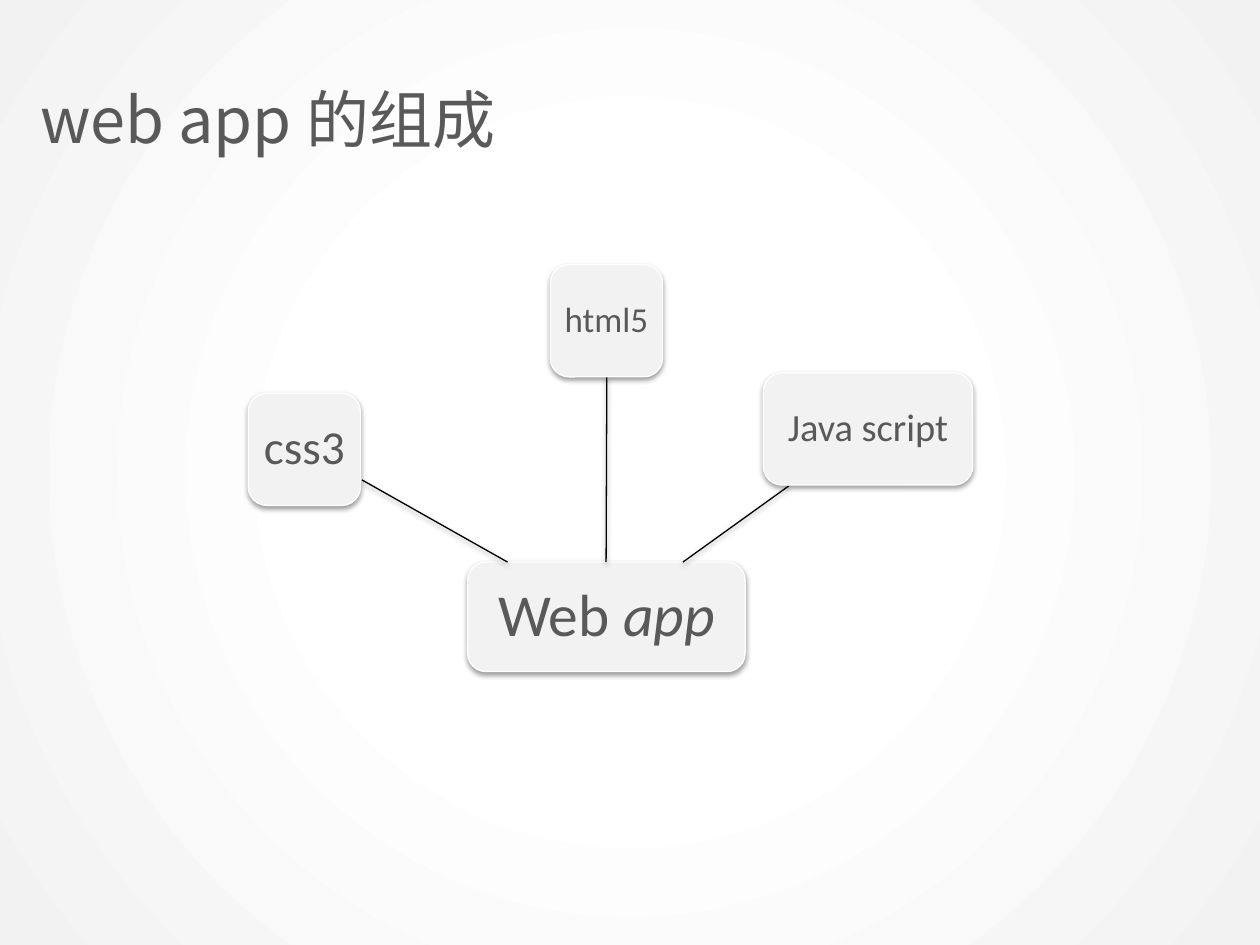
from lxml.etree import SubElement
from pptx import Presentation
from pptx.dml.color import RGBColor
from pptx.enum.shapes import MSO_CONNECTOR as Connector, MSO_SHAPE as Shape
from pptx.enum.text import MSO_ANCHOR as Anchor, PP_ALIGN as Align
from pptx.oxml import parse_xml
from pptx.oxml.ns import nsdecls, qn
from pptx.util import Inches, Pt

WIDTH, HEIGHT = 10, 7.5
WHITE = RGBColor(0xFF, 0xFF, 0xFF)
PALE = RGBColor(0xF2, 0xF2, 0xF2)
GREY = RGBColor(0x59, 0x59, 0x59)
BLACK = RGBColor(0, 0, 0)
BODY_FONT, TITLE_FONT = "Calibri", "Noto Sans CJK SC"

# Node boxes (left, top, width, height) as shares of the diagram box
DIAGRAM = (1.97, 2.1, 5.75, 3.23)
HUB = (0.303, 0.731, 0.383, 0.269)
SIDE = 0.276  # height of every satellite
# text, size, inset, box, line start and end
SATELLITES = [
    ("html5", 20, 0.05, (0.417, 0, 0.155, SIDE), (0.494, 0.731), (0.495, SIDE)),
    ("Java script", 22, 0.05, (0.711, 0.266, 0.289, SIDE), (0.6, 0.731), (0.746, 0.544)),
    ("css3", 27, 0.05, (0, 0.316, 0.155, SIDE), (0.358, 0.731), (0.157, 0.529)),
]


def add_shadow(shape):
    """Give the shape a soft shadow straight below it."""
    properties = shape._element.spPr
    effects = properties.find(qn("a:effectLst"))
    if effects is None:
        effects = SubElement(properties, qn("a:effectLst"))
    effects.append(parse_xml(
        f'<a:outerShdw {nsdecls("a")} blurRad="{Pt(3.1)}" dist="{Pt(1.6)}" '
        'dir="5400000" algn="ctr" rotWithShape="0">'
        f'<a:srgbClr val="{BLACK}"><a:alpha val="38000"/></a:srgbClr></a:outerShdw>'))


def set_font(font, name, size):
    font.name, font.size = name, Pt(size)
    font.color.rgb = GREY


def paint_background(slide):
    """Radial gradient, white in the middle."""
    fill = slide.background.fill
    fill.gradient()
    for stop, position, color in zip(fill.gradient_stops, (0.39, 1), (WHITE, PALE)):
        stop.position, stop.color.rgb = position, color
    gradient = slide._element.find(".//" + qn("a:gradFill"))
    gradient.replace(gradient.find(qn("a:lin")), parse_xml(
        f'<a:path {nsdecls("a")} path="circle">'
        '<a:fillToRect l="50000" t="50000" r="50000" b="50000"/></a:path>'))


def add_title(slide, box, text):
    frame = slide.shapes.add_textbox(*map(Inches, box)).text_frame
    frame.word_wrap = True
    frame.vertical_anchor = Anchor.MIDDLE
    frame.margin_left = Inches(0.32)
    paragraph = frame.paragraphs[0]
    paragraph.text = text
    set_font(paragraph.font, TITLE_FONT, 36)
    east_asian = SubElement(paragraph.font._element, qn("a:ea"))
    east_asian.set("typeface", TITLE_FONT)


def add_node(slide, box, runs, size, inset):
    """Rounded box; runs are (text, italic) pairs."""
    node = slide.shapes.add_shape(Shape.ROUNDED_RECTANGLE, *box)
    node.fill.solid()
    node.fill.fore_color.rgb = PALE
    node.line.color.rgb, node.line.width = WHITE, Pt(0.75)
    node.shadow.inherit = False
    add_shadow(node)
    frame = node.text_frame
    frame.word_wrap = True
    frame.vertical_anchor = Anchor.MIDDLE
    frame.margin_left = frame.margin_right = Inches(inset)
    frame.margin_top = frame.margin_bottom = Inches(inset)
    paragraph = frame.paragraphs[0]
    paragraph.alignment, paragraph.line_spacing = Align.CENTER, 0.9
    set_font(paragraph.font, BODY_FONT, size)
    for text, italic in runs:
        run = paragraph.add_run()
        run.text = text
        if italic:
            run.font.italic = True


def add_spoke(slide, start, end):
    spoke = slide.shapes.add_connector(Connector.STRAIGHT, *start, *end)
    spoke.line.color.rgb, spoke.line.width = BLACK, Pt(0.75)
    add_shadow(spoke)


def add_diagram(slide, box):
    """Hub with three satellites, placed by shares of the box."""
    left, top, width, height = box

    def point(x, y):
        return Inches(left + x * width), Inches(top + y * height)

    def area(x, y, w, h):
        return *point(x, y), Inches(w * width), Inches(h * height)

    add_node(slide, area(*HUB), [("Web ", False), ("app", True)], 34, 0.09)
    for text, size, inset, share, start, end in SATELLITES:
        add_spoke(slide, point(*start), point(*end))
        add_node(slide, area(*share), [(text, False)], size, inset)


def main():
    presentation = Presentation()
    presentation.slide_width, presentation.slide_height = Inches(WIDTH), Inches(HEIGHT)
    slide = presentation.slides.add_slide(presentation.slide_layouts[6])
    paint_background(slide)
    add_title(slide, (0, 0.36, 7.36, 1.15), "web app 的组成")
    add_diagram(slide, DIAGRAM)
    presentation.save("out.pptx")


if __name__ == "__main__":
    main()
